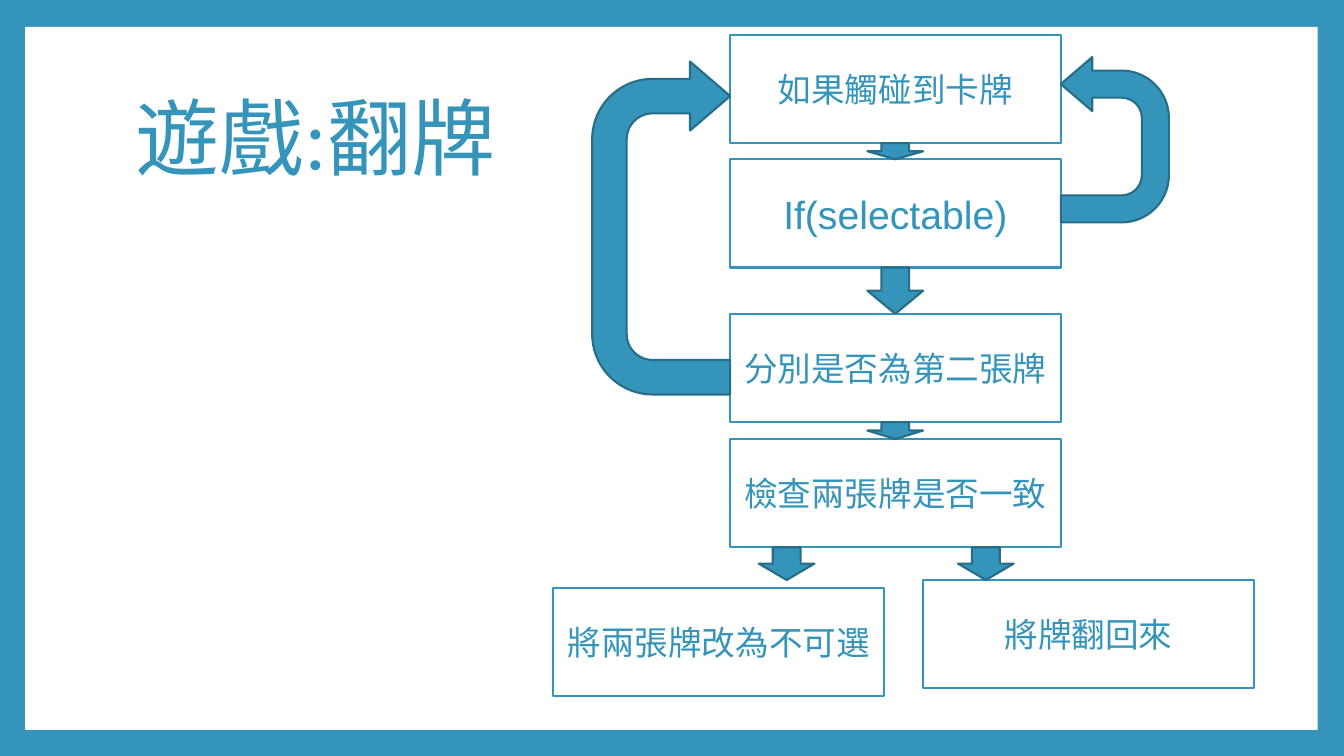
from pptx import Presentation
from pptx.dml.color import RGBColor
from pptx.enum.shapes import MSO_SHAPE
from pptx.enum.text import MSO_ANCHOR, PP_ALIGN
from pptx.util import Pt

COLORS = {"blue": "3494BA", "dark": "266D8A", "white": "FFFFFF"}
BOX_WIDTH, BOX_HEIGHT = 236.2, 77.3
COLUMN_LEFT = 521.4
COLUMN_CENTER = COLUMN_LEFT + BOX_WIDTH / 2
ARROW_WIDTH = 39.8

deck = Presentation()
deck.slide_width, deck.slide_height = Pt(960), Pt(540)
page = deck.slides.add_slide(deck.slide_layouts[6])
page.background.fill.solid()
page.background.fill.fore_color.rgb = RGBColor.from_string(COLORS["blue"])


def add_figure(kind, left, top, width, height, fill, line=None):
    figure = page.shapes.add_shape(kind, Pt(left), Pt(top), Pt(width), Pt(height))
    figure.shadow.inherit = False
    figure.fill.solid()
    figure.fill.fore_color.rgb = RGBColor.from_string(COLORS[fill])
    if line:
        figure.line.color.rgb = RGBColor.from_string(COLORS[line])
        figure.line.width = Pt(1.5)
    else:
        figure.line.fill.background()
    return figure


def write(shape, text, size, font, align):
    frame = shape.text_frame
    frame.word_wrap = True
    frame.vertical_anchor = MSO_ANCHOR.MIDDLE
    para = frame.paragraphs[0]
    para.text = text
    para.alignment = align
    para.font.size = Pt(size)
    para.font.name = font
    para.font.color.rgb = RGBColor.from_string(COLORS["blue"])
    return para


add_figure(MSO_SHAPE.RECTANGLE, 18, 19.2, 923.3, 502.2, "white")

title = page.shapes.add_textbox(Pt(90), Pt(48.2), Pt(777.6), Pt(106.6))
write(title, "遊戲:翻牌", 60, "Times New Roman", PP_ALIGN.LEFT).line_spacing = 0.9

# Flow steps
steps = [
    ("將兩張牌改為不可選", 395.3, 420, 24, "Times New Roman"),
    ("如果觸碰到卡牌", COLUMN_LEFT, 25, 24, "Times New Roman"),
    ("If(selectable)", COLUMN_LEFT, 113.8, 28, "Arial"),
    ("分別是否為第二張牌", COLUMN_LEFT, 224.2, 24, "Times New Roman"),
    ("檢查兩張牌是否一致", COLUMN_LEFT, 313.6, 24, "Times New Roman"),
    ("將牌翻回來", 659.4, 414.3, 24, "Times New Roman"),
]
for text, left, top, size, font in steps:
    box = add_figure(MSO_SHAPE.RECTANGLE, left, top, BOX_WIDTH, BOX_HEIGHT, "white", "blue")
    write(box, text, size, font, PP_ALIGN.CENTER)

# Down arrows fill the gap between one step and the next
column_tops = [top for _, left, top, _, _ in steps if left == COLUMN_LEFT]
arrows = [(COLUMN_CENTER, upper + BOX_HEIGHT, lower)
          for upper, lower in zip(column_tops, column_tops[1:])]
arrows += [(center, column_tops[-1] + BOX_HEIGHT, 414.3) for center in (561.9, 704.2)]
for center, top, bottom in arrows:
    add_figure(MSO_SHAPE.DOWN_ARROW, center - ARROW_WIDTH / 2, top,
               ARROW_WIDTH, bottom - top, "blue", "dark")

# Arrows that loop back to the first step
loops = [
    (737.3, 61.2, 118.1, 77.2, ("flipH",)),
    (353.4, 113.6, 237.8, 98.6, ("flipH", "flipV")),
]
for left, top, width, height, flips in loops:
    loop = add_figure(MSO_SHAPE.U_TURN_ARROW, left, top, width, height, "blue", "dark")
    loop.rotation = 90
    for index, value in enumerate((0.25, 0.25, 0.291, 0.438, 1)):
        loop.adjustments[index] = value
    for flip in flips:
        loop.element.spPr.get_or_add_xfrm().set(flip, "1")

deck.save("out.pptx")
